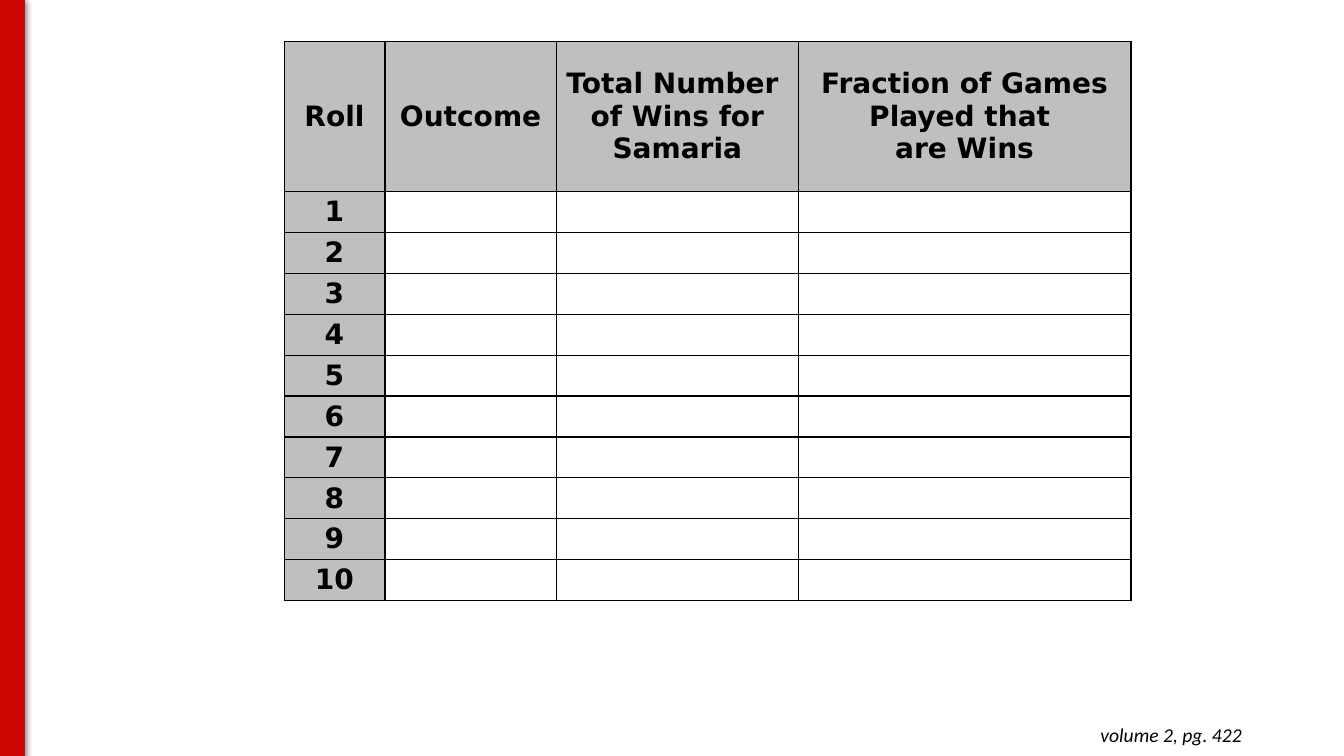
from dataclasses import dataclass

from lxml import etree
from pptx import Presentation
from pptx.dml.color import RGBColor
from pptx.enum.shapes import MSO_SHAPE
from pptx.enum.text import MSO_ANCHOR, MSO_AUTO_SIZE, PP_ALIGN
from pptx.oxml.ns import qn
from pptx.slide import Slide
from pptx.table import _Cell
from pptx.text.text import TextFrame
from pptx.util import Cm, Pt

RECTANGLE = MSO_SHAPE.RECTANGLE
MIDDLE = MSO_ANCHOR.MIDDLE
FIT_SHAPE = MSO_AUTO_SIZE.SHAPE_TO_FIT_TEXT
CENTER = PP_ALIGN.CENTER
RIGHT = PP_ALIGN.RIGHT

COLORS = {"accent": "CE0704", "label": "BFBFBF", "ink": "000000"}
LABEL_FONT = {"name": "DejaVu Sans", "size": Pt(20), "bold": True}
REFERENCE_FONT = {"name": "Calibri", "size": Pt(14), "italic": True}
HEADER_HEIGHT = 3.79
ROLL_HEIGHT = 1.03
ROLL_COUNT = 10
INSET = 0.25
ROLL_INSET = 0.1


@dataclass(frozen=True)
class Column:
    heading: str
    width: float


COLUMNS = [
    Column("Roll", 2.54),
    Column("Outcome", 4.32),
    Column("Total Number \vof Wins for Samaria", 6.1),
    Column("Fraction of Games Played that \vare Wins", 8.38),
]


def rgb(name: str) -> RGBColor:
    return RGBColor.from_string(COLORS[name])


def write(frame: TextFrame, text: str, align: PP_ALIGN, font_format: dict) -> None:
    paragraph = frame.paragraphs[0]
    paragraph.text = text
    paragraph.alignment = align
    for run in paragraph.runs:
        for attribute, value in font_format.items():
            setattr(run.font, attribute, value)
        run.font.color.rgb = rgb("ink")


def add_borders(cell: _Cell) -> None:
    properties = cell._tc.get_or_add_tcPr()
    for position, side in enumerate(("lnL", "lnR", "lnT", "lnB")):
        border = etree.Element(qn(f"a:{side}"), w=str(Pt(1)))
        fill = etree.SubElement(border, qn("a:solidFill"))
        etree.SubElement(fill, qn("a:srgbClr"), val=COLORS["ink"])
        properties.insert(position, border)


def format_label(cell: _Cell, text: str, vertical_inset: float) -> None:
    cell_format = {
        "vertical_anchor": MIDDLE,
        "margin_left": Cm(INSET),
        "margin_right": Cm(INSET),
        "margin_top": Cm(vertical_inset),
        "margin_bottom": Cm(vertical_inset),
    }
    for attribute, value in cell_format.items():
        setattr(cell, attribute, value)
    cell.fill.solid()
    cell.fill.fore_color.rgb = rgb("label")
    write(cell.text_frame, text, CENTER, LABEL_FONT)


def add_side_bar(slide: Slide) -> None:
    bar = slide.shapes.add_shape(RECTANGLE, Cm(0), Cm(-0.02), Cm(0.62), Cm(19.07))
    bar.fill.solid()
    bar.fill.fore_color.rgb = rgb("accent")
    bar.line.color.rgb = rgb("accent")
    bar.line.width = Pt(0.75)
    bar.shadow.inherit = False
    effects = bar._element.spPr.find(qn("a:effectLst"))
    shadow = etree.SubElement(
        effects, qn("a:outerShdw"), blurRad=str(Pt(4.5)), dist=str(Pt(1.5)),
        dir="5400000", rotWithShape="0",
    )
    color = etree.SubElement(shadow, qn("a:srgbClr"), val=COLORS["ink"])
    etree.SubElement(color, qn("a:alpha"), val="50000")


def add_rolls_table(slide: Slide) -> None:
    width = sum(column.width for column in COLUMNS)
    height = HEADER_HEIGHT + ROLL_COUNT * ROLL_HEIGHT
    rolls = slide.shapes.add_table(
        ROLL_COUNT + 1, len(COLUMNS), Cm(7.16), Cm(1.04), Cm(width), Cm(height)
    ).table
    rolls.first_row = False
    rolls.horz_banding = False
    for index, column in enumerate(COLUMNS):
        rolls.columns[index].width = Cm(column.width)
        format_label(rolls.cell(0, index), column.heading, INSET)
    rolls.rows[0].height = Cm(HEADER_HEIGHT)
    for number in range(1, ROLL_COUNT + 1):
        rolls.rows[number].height = Cm(ROLL_HEIGHT)
        format_label(rolls.cell(number, 0), str(number), ROLL_INSET)
        for index in range(1, len(COLUMNS)):
            rolls.cell(number, index).fill.background()
    for cell in rolls.iter_cells():
        add_borders(cell)


def add_reference(slide: Slide) -> None:
    reference = slide.shapes.add_textbox(Cm(24.23), Cm(17.96), Cm(7.32), Cm(1.12))
    frame_format = {
        "word_wrap": True,
        "auto_size": FIT_SHAPE,
        "margin_left": Cm(INSET),
        "margin_right": Cm(INSET),
        "margin_top": Cm(INSET),
        "margin_bottom": Cm(INSET),
    }
    for attribute, value in frame_format.items():
        setattr(reference.text_frame, attribute, value)
    write(reference.text_frame, "volume 2, pg. 422", RIGHT, REFERENCE_FONT)


def main() -> None:
    presentation = Presentation()
    presentation.slide_width = Cm(33.87)
    presentation.slide_height = Cm(19.05)
    slide = presentation.slides.add_slide(presentation.slide_layouts[6])
    add_side_bar(slide)
    add_rolls_table(slide)
    add_reference(slide)
    presentation.save("out.pptx")


if __name__ == "__main__":
    main()
